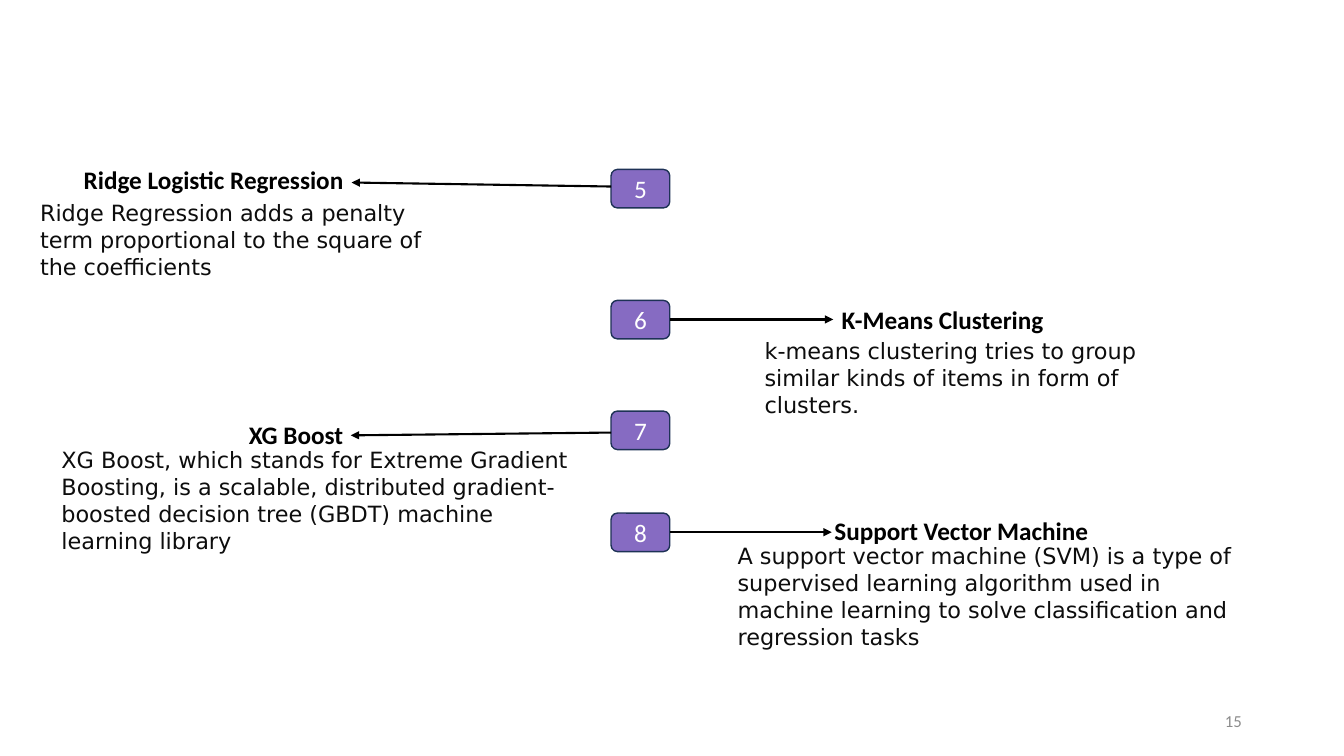
from dataclasses import dataclass

from lxml import etree
from pptx import Presentation
from pptx.dml.color import RGBColor
from pptx.enum.shapes import MSO_CONNECTOR, MSO_SHAPE
from pptx.enum.text import MSO_ANCHOR, MSO_AUTO_SIZE, PP_ALIGN
from pptx.oxml.ns import qn
from pptx.util import Cm, Pt

STRAIGHT = MSO_CONNECTOR.STRAIGHT
ROUNDED = MSO_SHAPE.ROUNDED_RECTANGLE
TOP, MIDDLE = MSO_ANCHOR.TOP, MSO_ANCHOR.MIDDLE
LEFT, CENTER, RIGHT = PP_ALIGN.LEFT, PP_ALIGN.CENTER, PP_ALIGN.RIGHT
GROW, FIXED = MSO_AUTO_SIZE.SHAPE_TO_FIT_TEXT, MSO_AUTO_SIZE.NONE

MODELS = [
    dict(number="5", top=4.27, start=4.7, tip=(8.86, 4.6),
         head="Ridge Logistic Regression", head_box=(1.86, 4.01, 12.06, 1.02),
         body="Ridge Regression adds a penalty term proportional to the "
              "square of the coefficients",
         body_box=(0.76, 4.9, 10.52, 2.31)),
    dict(number="6", top=7.57, start=8.05, tip=(21, 8.05),
         head="K-Means Clustering", head_box=(20.96, 7.54, 8, 1.02),
         body="k-means clustering tries to group similar kinds of items "
              "in form of clusters.",
         body_box=(19.02, 8.38, 11.2, 2.31)),
    dict(number="7", top=10.36, start=10.9, tip=(8.84, 10.97),
         head="XG Boost", head_box=(6.02, 10.44, 3.56, 1.02),
         body="XG Boost, which stands for Extreme Gradient Boosting, is a "
              "scalable, distributed gradient-boosted decision tree (GBDT) "
              "machine learning library",
         body_box=(1.3, 11.13, 13.39, 3)),
    dict(number="8", top=12.93, start=13.41, tip=(20.96, 13.41),
         head="Support Vector Machine", head_box=(20.78, 12.85, 9.02, 1.02),
         body="A support vector machine (SVM) is a type of supervised "
              "learning algorithm used in machine learning to solve "
              "classification and regression tasks",
         body_box=(18.34, 13.54, 13.18, 3)),
]
PAGE = "15"
PAGE_BOX = (23.93, 17.65, 7.62, 1.02)
MID = 16.14
BADGE_W, BADGE_H = 1.48, 0.97


@dataclass(frozen=True)
class Theme:
    font: str = "Calibri"
    body_font: str = "DejaVu Sans"
    head_size: int = 18
    body_size: int = 16
    page_size: int = 12
    black: str = "000000"
    body: str = "0D0D0D"
    white: str = "FFFFFF"
    grey: str = "8C8C8C"
    purple: str = "866BC2"
    navy: str = "1E3256"


THEME = Theme()


def color(code):
    return RGBColor.from_string(code)


def write(shape, text, font=THEME.font, size=THEME.head_size, ink=THEME.black,
          bold=False, align=LEFT, anchor=TOP, fit=FIXED):
    frame = shape.text_frame
    frame.word_wrap = True
    frame.auto_size = fit
    frame.vertical_anchor = anchor
    line = frame.paragraphs[0]
    line.alignment = align
    run = line.add_run()
    run.text = text
    run.font.name = font
    run.font.size = Pt(size)
    run.font.bold = bold
    run.font.color.rgb = color(ink)


def add_label(slide, box, text, **form):
    write(slide.shapes.add_textbox(*map(Cm, box)), text, **form)


def add_badge(slide, top, number):
    badge = slide.shapes.add_shape(
        ROUNDED, Cm(MID - BADGE_W / 2), Cm(top), Cm(BADGE_W), Cm(BADGE_H))
    badge.shadow.inherit = False
    badge.fill.solid()
    badge.fill.fore_color.rgb = color(THEME.purple)
    badge.line.color.rgb = color(THEME.navy)
    badge.line.width = Pt(1)
    write(badge, number, ink=THEME.white, align=CENTER, anchor=MIDDLE)


def add_arrow(slide, start, tip):
    side = 1 if tip[0] > MID else -1
    arrow = slide.shapes.add_connector(
        STRAIGHT, Cm(MID + side * BADGE_W / 2), Cm(start), *map(Cm, tip))
    arrow.line.color.rgb = color(THEME.black)
    arrow.line.width = Pt(1.5)
    etree.SubElement(arrow.line._get_or_add_ln(), qn("a:tailEnd"),
                     type="triangle")
    etree.SubElement(arrow._element.spPr, qn("a:effectLst"))


def main():
    deck = Presentation()
    deck.slide_width, deck.slide_height = Cm(33.87), Cm(19.05)
    slide = deck.slides.add_slide(deck.slide_layouts[6])
    for model in MODELS:
        add_badge(slide, model["top"], model["number"])
        add_arrow(slide, model["start"], model["tip"])
        add_label(slide, model["head_box"], model["head"], bold=True, fit=GROW)
        add_label(slide, model["body_box"], model["body"], fit=GROW,
                  font=THEME.body_font, size=THEME.body_size, ink=THEME.body)
    add_label(slide, PAGE_BOX, PAGE, size=THEME.page_size, ink=THEME.grey,
              align=RIGHT, anchor=MIDDLE)
    deck.save("out.pptx")


if __name__ == "__main__":
    main()
